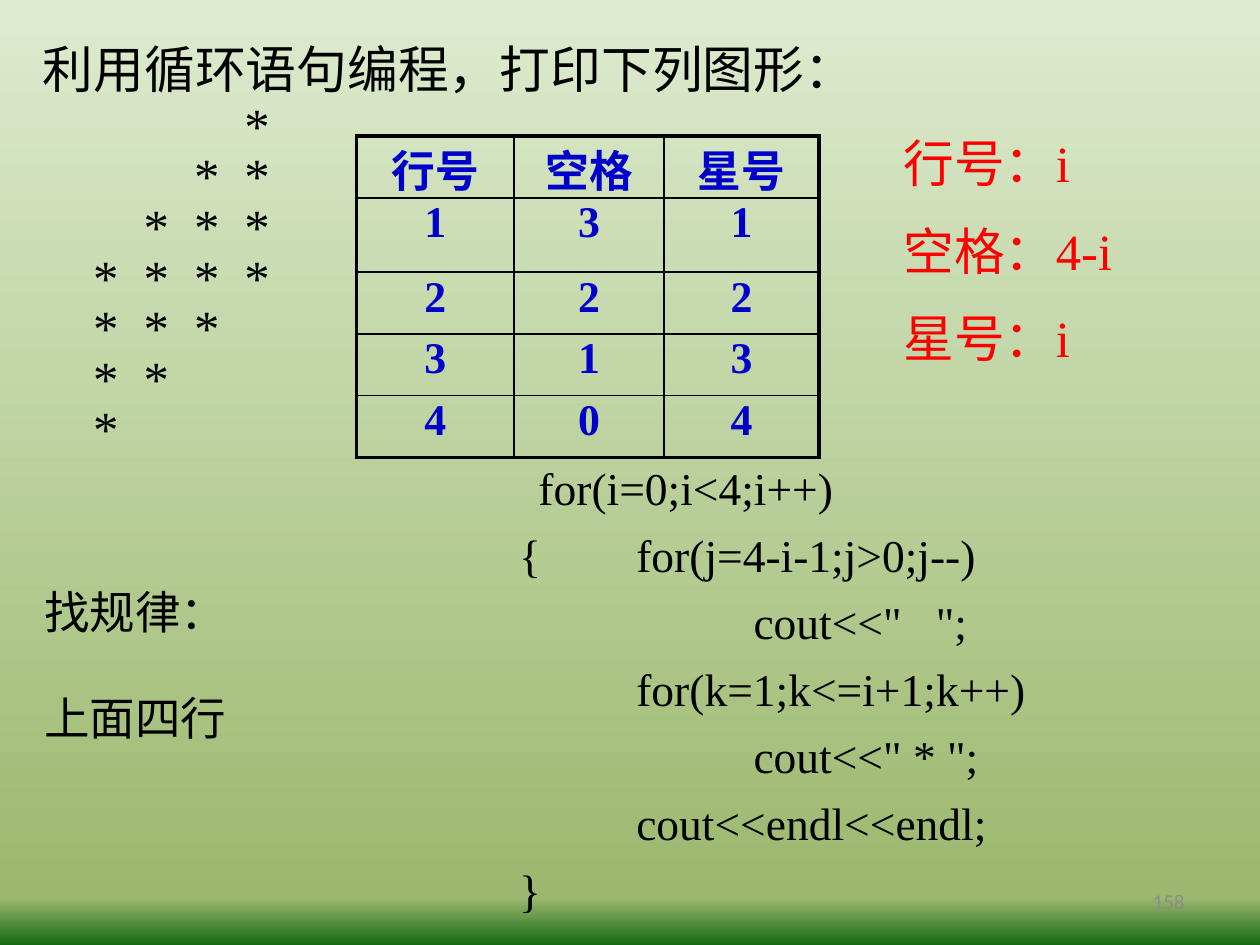
from dataclasses import dataclass

from lxml.etree import SubElement
from pptx import Presentation
from pptx.dml.color import RGBColor
from pptx.enum.text import MSO_ANCHOR, PP_ALIGN
from pptx.oxml.ns import qn
from pptx.util import Inches, Pt

SERIF = "Times New Roman"
BLACK, RED, BLUE, GREY = "000000", "FF0000", "0000CC", "8C8C8C"


@dataclass
class Block:
    """A text box: place, lines and the way they are set."""
    box: tuple
    lines: list
    size: float
    color: str = BLACK
    font: str = SERIF
    gap: float = 0           # points before each line but the first
    lead: float = 1.0        # line spacing
    head: float = 1.0        # line spacing of the first line
    pad: tuple = (0.02, 0.01)
    tabs: tuple = ()
    align: PP_ALIGN = PP_ALIGN.LEFT
    anchor: MSO_ANCHOR = MSO_ANCHOR.TOP


def rgb(code: str) -> RGBColor:
    return RGBColor.from_string(code)


def add_run(para, text: str, size: float, color: str, font: str,
            bold: bool = False) -> None:
    run = para.add_run()
    run.text = text
    run.font.size = Pt(size)
    run.font.name = font
    run.font.bold = bold
    run.font.color.rgb = rgb(color)


def set_tabs(para, stops: tuple) -> None:
    if stops:
        group = SubElement(para._p.get_or_add_pPr(), qn("a:tabLst"))
        for stop in stops:
            SubElement(group, qn("a:tab"), pos=str(Inches(stop)), algn="l")


def add_block(slide, block: Block) -> None:
    shape = slide.shapes.add_textbox(*map(Inches, block.box))
    frame = shape.text_frame
    frame.word_wrap = True
    frame.vertical_anchor = block.anchor
    side, edge = map(Inches, block.pad)
    frame.margin_left = frame.margin_right = side
    frame.margin_top = frame.margin_bottom = edge
    for num, line in enumerate(block.lines):
        para = frame.add_paragraph() if num else frame.paragraphs[0]
        set_tabs(para, block.tabs)
        para.alignment = block.align
        para.line_spacing = block.lead if num else block.head
        if num:
            para.space_before = Pt(block.gap)
        add_run(para, line, block.size, block.color, block.font)


def set_edge(cell, side: str, width: float) -> None:
    line = SubElement(cell._tc.get_or_add_tcPr(), qn("a:ln" + side),
                      w=str(Pt(width)))
    fill = SubElement(line, qn("a:solidFill"))
    SubElement(fill, qn("a:srgbClr"), val=BLACK)


def add_grid(slide, box: tuple, cols: list, rows: list, data: list) -> None:
    table = slide.shapes.add_table(len(rows), len(cols),
                                   *map(Inches, box)).table
    table.first_row = table.horz_banding = False
    for col, width in zip(table.columns, cols):
        col.width = Inches(width)
    for row, height in zip(table.rows, rows):
        row.height = Inches(height)
    for y, line in enumerate(data):
        for x, text in enumerate(line):
            cell = table.cell(y, x)
            cell.margin_left = cell.margin_right = Inches(0.02)
            cell.margin_top = cell.margin_bottom = Inches(0.01)
            para = cell.text_frame.paragraphs[0]
            para.alignment = PP_ALIGN.CENTER
            add_run(para, text, 25, BLUE, SERIF, bold=True)
            # Thick outer frame, thin inner rules
            outer = {"L": x == 0, "R": x == len(cols) - 1,
                     "T": y == 0, "B": y == len(rows) - 1}
            for side, thick in outer.items():
                set_edge(cell, side, 2.25 if thick else 1)
            cell.fill.background()


def set_back(slide, stops: list) -> None:
    fill = slide.background.fill
    fill.gradient()
    fill.gradient_angle = 270
    group = next(slide.element.iter(qn("a:gsLst")))
    for old in list(group):
        group.remove(old)
    for pos, color in stops:
        stop = SubElement(group, qn("a:gs"), pos=str(pos * 1000))
        SubElement(stop, qn("a:srgbClr"), val=color)


def star_row(start: int, count: int) -> str:
    """Stars in neighbouring columns, each set by its tab stop."""
    return "\t" * start + "\t*" * count


def main() -> None:
    deck = Presentation()
    deck.slide_width, deck.slide_height = Inches(10), Inches(7.5)
    slide = deck.slides.add_slide(deck.slide_layouts[6])
    set_back(slide, [(0, "DDEBCF"), (95, "9CB86E"), (100, "156B13")])

    # Slide number
    add_block(slide, Block((7.17, 6.95, 2.33, 0.4), ["158"], 12, GREY,
                           "Calibri", pad=(0.1, 0.05), align=PP_ALIGN.RIGHT,
                           anchor=MSO_ANCHOR.MIDDLE))

    # Task and star figure: four rows growing, three shrinking
    stars = [star_row(4 - n, n) for n in range(1, 5)]
    stars += [star_row(0, n) for n in (3, 2, 1)]
    add_block(slide, Block((0.25, 0.25, 8.06, 3.66),
                           ["利用循环语句编程，打印下列图形："] + stars, 29,
                           gap=15, lead=0.4, pad=(0.09, 0.05),
                           tabs=tuple(0.4 + 0.4 * n for n in range(4))))

    # Hints
    for top, text in ((4.58, "找规律："), (5.42, "上面四行")):
        add_block(slide, Block((0.33, top, 2.75, 0.5), [text], 26, head=1.1))

    # Table of counts per row
    data = [["行号", "空格", "星号"]]
    data += [[str(n), str(4 - n), str(n)] for n in range(1, 5)]
    add_grid(slide, (2.83, 1.08, 3.67, 2.55), [1.25, 1.19, 1.23],
             [0.49, 0.59, 0.49, 0.49, 0.49], data)

    # Program
    code = [
        "            for(i=0;i<4;i++)",
        "\t{\tfor(j=4-i-1;j>0;j--)",
        "\t\t\tcout<<\"   \";",
        "\t\tfor(k=1;k<=i+1;k++)",
        "\t\t\tcout<<\" * \";",
        "\t\tcout<<endl<<endl;",
        "\t}",
    ]
    add_block(slide, Block((3.17, 3.6, 5.75, 3.62), code, 26, gap=4,
                           lead=1.1, head=1.1, tabs=(0.93, 1.86, 2.79)))

    # Rules found
    add_block(slide, Block((7.08, 1, 2.17, 2.05),
                           ["行号：i", "空格：4-i", "星号：i"], 29, RED,
                           gap=15, pad=(0.09, 0.05)))

    deck.save("out.pptx")


if __name__ == "__main__":
    main()
